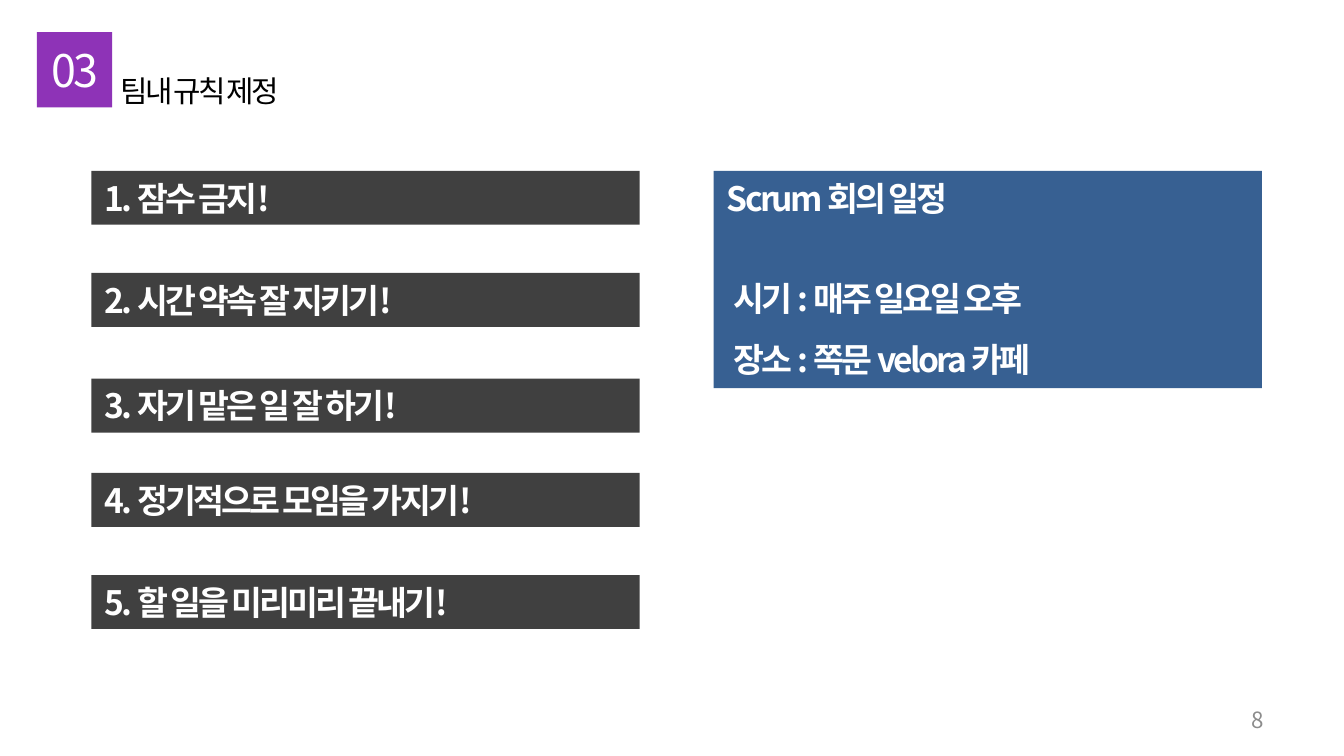
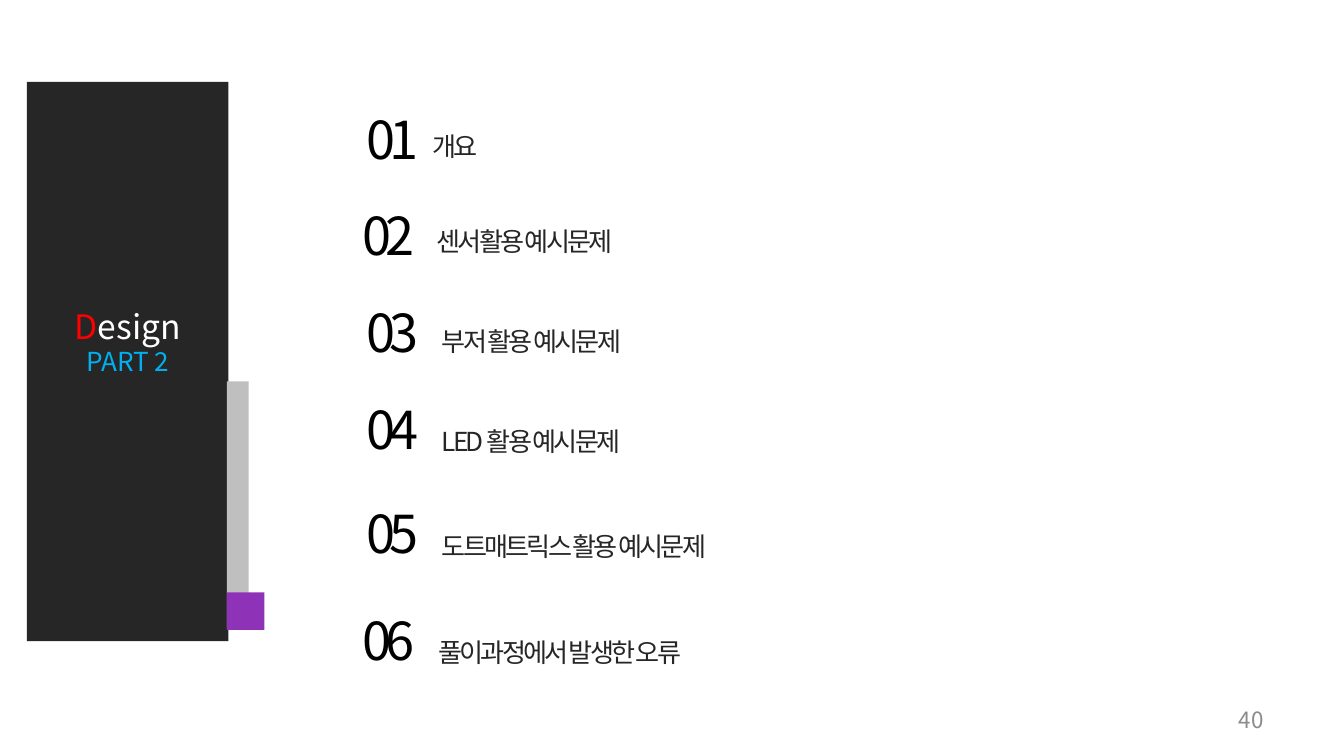
from dataclasses import dataclass

from lxml.etree import SubElement
from pptx import Presentation
from pptx.dml.color import RGBColor as Rgb
from pptx.enum.shapes import MSO_SHAPE as Shape
from pptx.enum.text import MSO_ANCHOR as Anchor, PP_ALIGN as Align
from pptx.oxml.ns import qn
from pptx.util import Cm, Pt


@dataclass(frozen=True)
class Theme:
    font: str = "Noto Sans CJK KR"
    purple: str = "8E33B7"
    rule_gray: str = "404040"
    blue: str = "376092"
    panel: str = "262626"
    light_gray: str = "BFBFBF"
    footer_gray: str = "8C8C8C"
    white: str = "FFFFFF"
    black: str = "000000"
    red: str = "FF0000"
    cyan: str = "00B0F0"
    number_size: int = 28
    badge_size: int = 24
    body_size: int = 18
    title_size: int = 16
    label_size: int = 14
    footer_size: int = 12
    tight: float = -1.5
    tighter: float = -3


theme = Theme()


def add_box(page, left, top, width, height, fill=None, anchor=Anchor.TOP):
    """Add a filled rectangle, or a text box if there is no fill, and return its text frame."""
    place = Cm(left), Cm(top), Cm(width), Cm(height)
    if fill:
        box = page.shapes.add_shape(Shape.RECTANGLE, *place)
        box.shadow.inherit = False
        box.fill.solid()
        box.fill.fore_color.rgb = Rgb.from_string(fill)
        box.line.fill.background()
    else:
        box = page.shapes.add_textbox(*place)
    frame = box.text_frame
    frame.word_wrap = True
    frame.vertical_anchor = anchor
    return frame


def write(frame, text, size=theme.body_size, color=theme.white, bold=False,
          tracking=0, align=Align.LEFT, spacing=None, before=0, indent=0, para=None):
    """Write text as a new paragraph, or as one more span of para; return the paragraph."""
    if para is None:
        para = frame.paragraphs[0]
        if para.runs:
            para = frame.add_paragraph()
        para.alignment = align
        if spacing:
            para.line_spacing = spacing
        if before:
            para.space_before = Pt(before)
        if indent:
            para._p.get_or_add_pPr().set("marL", str(Cm(indent)))
    span = para.add_run()
    span.text = text
    span.font.size = Pt(size)
    span.font.bold = bold
    span.font.color.rgb = Rgb.from_string(color)
    span.font.name = theme.font
    properties = span._r.get_or_add_rPr()
    SubElement(properties, qn("a:ea"), typeface=theme.font)
    if tracking:
        properties.set("spc", str(int(tracking * 100)))
    return para


deck = Presentation()
deck.slide_width, deck.slide_height = Cm(25.4), Cm(14.29)
pages = []
for page_number in ("8", "40"):
    page = deck.slides.add_slide(deck.slide_layouts[6])
    footer = add_box(page, 18.21, 13.23, 5.92, 0.76, anchor=Anchor.MIDDLE)
    write(footer, page_number, size=theme.footer_size, color=theme.footer_gray,
          align=Align.RIGHT)
    pages.append(page)
rules_page, contents_page = pages

# Team rules
add_box(rules_page, 0.7, 0.61, 1.42, 1.42, theme.purple)
write(add_box(rules_page, 0.51, 0.69, 1.8, 1.27), "03", size=theme.badge_size,
      tracking=theme.tight, align=Align.CENTER)
write(add_box(rules_page, 2.03, 1.24, 5.59, 0.94), "팀내 규칙 제정",
      size=theme.title_size, color=theme.black, tracking=theme.tight)

card_top, card_width = 3.23, 10.36
rules = [
    (card_top, "잠수 금지!"),
    (5.16, "시간 약속 잘 지키기!"),
    (7.16, "자기 맡은 일 잘 하기!"),
    (8.94, "정기적으로 모임을 가지기!"),
    (10.87, "할 일을 미리미리 끝내기!"),
]
for number, (top, rule) in enumerate(rules, start=1):
    bar = add_box(rules_page, 1.73, top, card_width, 1.02, theme.rule_gray)
    write(bar, f"{number}. {rule}", bold=True, tracking=theme.tight)

schedule = add_box(rules_page, 13.49, card_top, card_width, 4.11, theme.blue)
write(schedule, "Scrum 회의 일정", bold=True, tracking=theme.tight)
for detail, before in (("시기 : 매주 일요일 오후", 21.6), ("장소 : 쪽문 velora 카페", 0)):
    write(schedule, detail, bold=True, tracking=theme.tight, spacing=1.5,
          before=before, indent=0.13)

# Part contents
panel = add_box(contents_page, 0.51, 1.55, 3.81, 10.57, theme.panel, Anchor.MIDDLE)
panel.margin_bottom = Cm(0.89)
heading = write(panel, "D", color=theme.red, align=Align.CENTER)
write(panel, "esign", para=heading)
write(panel, "PART 2", size=theme.label_size, color=theme.cyan, align=Align.CENTER)
add_box(contents_page, 4.29, 7.21, 0.41, 4.67, theme.light_gray)
add_box(contents_page, 4.29, 11.2, 0.71, 0.71, theme.purple)

# Number left, top and width, then label left, top and width
topics = [
    ("개요", (6.68, 1.91, 2.79), (7.92, 2.34, 3.81)),
    ("센서활용 예시문제", (6.6, 3.71, 2.08), (8, 4.14, 5.84)),
    ("부저 활용 예시문제", (6.68, 5.56, 1.83), (8.1, 6.02, 5.59)),
    ("LED 활용 예시문제", (6.68, 7.39, 1.83), (8.1, 7.92, 6.4)),
    ("도트매트릭스 활용 예시문제", (6.68, 9.35, 1.83), (8.1, 9.91, 7.59)),
    ("풀이과정에서 발생한 오류", (6.6, 11.38, 1.83), (8.03, 11.91, 5.59)),
]
for number, (topic, number_place, label_place) in enumerate(topics, start=1):
    write(add_box(contents_page, *number_place, 1.45), f"{number:02}",
          size=theme.number_size, color=theme.black, tracking=theme.tighter)
    write(add_box(contents_page, *label_place, 0.86), topic,
          size=theme.label_size, color=theme.panel, tracking=theme.tight)

deck.save("out.pptx")
